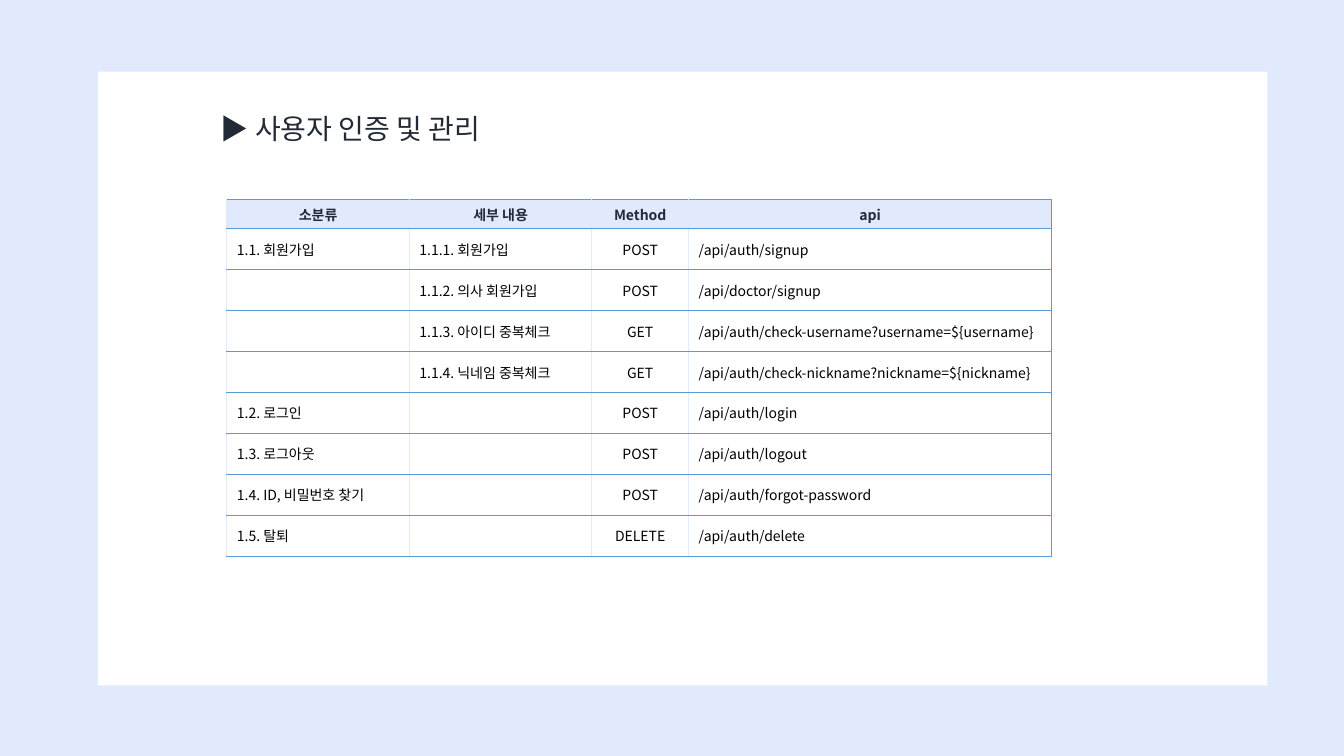
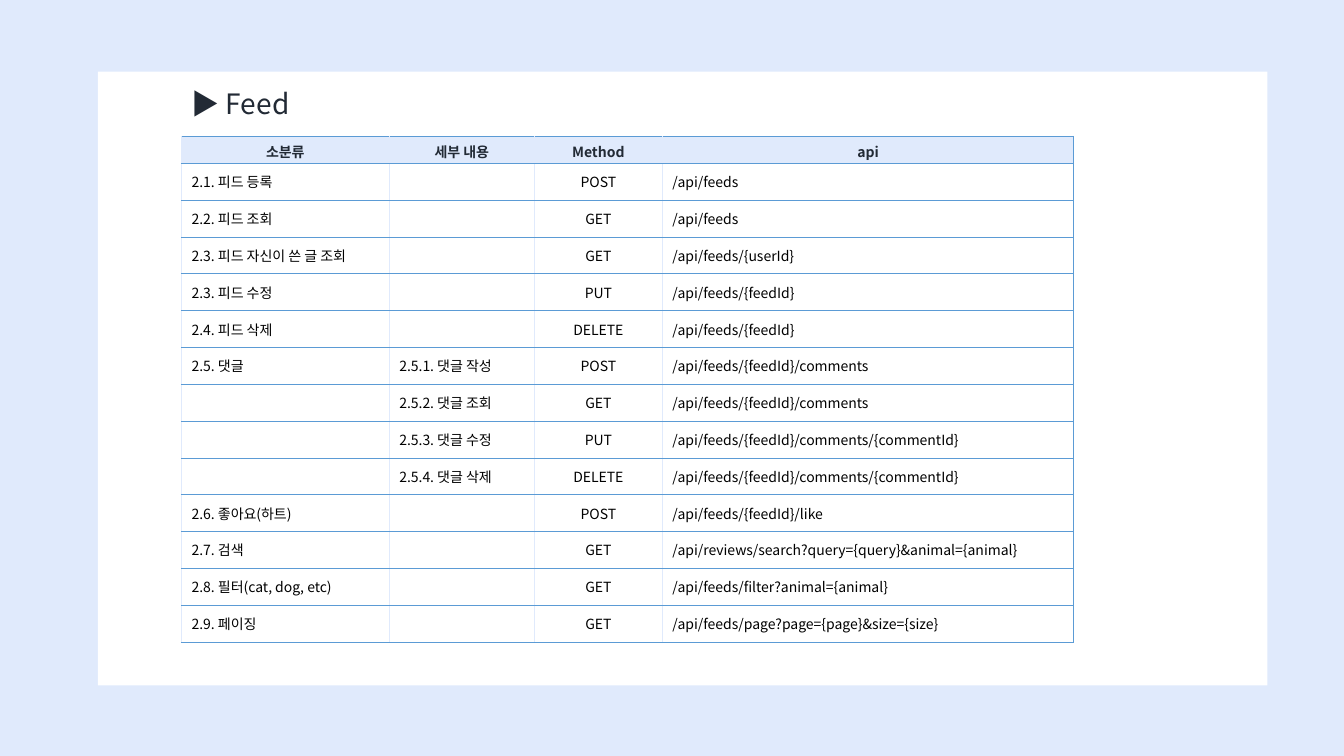
from lxml import etree
from pptx import Presentation
from pptx.dml.color import RGBColor
from pptx.enum import shapes, text
from pptx.oxml.ns import qn
from pptx.util import Inches, Pt

PALE_BLUE = RGBColor(0xE0, 0xEA, 0xFC)
LINE_BLUE = RGBColor(0x5B, 0x9B, 0xD5)
INK = RGBColor(0x22, 0x2A, 0x35)
BLACK = RGBColor(0, 0, 0)
WHITE = RGBColor(0xFF, 0xFF, 0xFF)

FONT = "Noto Sans CJK KR"
TITLE_FONT = {"size": Pt(20), "name": FONT, "bold": False}
HEADER_FONT = {"size": Pt(10), "name": FONT, "bold": True}
BODY_FONT = {"size": Pt(10), "name": FONT, "bold": False}

RULE = (LINE_BLUE, Pt(0.5))
DIVIDER = (PALE_BLUE, Pt(1))
TITLE_HEIGHT = 0.44
METHOD_COLUMN = 2
HEADERS = ("소분류", "세부 내용", "Method", "api")

PAGES = [
    {
        "title": "▶ 사용자 인증 및 관리",
        "title_at": (2.09, 1.06),
        "title_width": 3.12,
        "table_at": (2.25, 1.98),
        "table_height": 3.54,
        "header_height": 0.29,
        "columns": (1.81, 1.81, 0.96, 3.6),
        "rows": [
            ("1.1. 회원가입", "1.1.1. 회원가입", "POST", "/api/auth/signup"),
            ("", "1.1.2. 의사 회원가입", "POST", "/api/doctor/signup"),
            ("", "1.1.3. 아이디 중복체크", "GET",
             "/api/auth/check-username?username=${username}"),
            ("", "1.1.4. 닉네임 중복체크", "GET",
             "/api/auth/check-nickname?nickname=${nickname}"),
            ("1.2. 로그인", "", "POST", "/api/auth/login"),
            ("1.3. 로그아웃", "", "POST", "/api/auth/logout"),
            ("1.4. ID, 비밀번호 찾기", "", "POST", "/api/auth/forgot-password"),
            ("1.5. 탈퇴", "", "DELETE", "/api/auth/delete"),
        ],
    },
    {
        "title": "▶ Feed",
        "title_at": (1.8, 0.81),
        "title_width": 1.19,
        "table_at": (1.8, 1.35),
        "table_height": 5.02,
        "header_height": 0.27,
        "columns": (2.06, 1.44, 1.27, 4.08),
        "rows": [
            ("2.1. 피드 등록", "", "POST", "/api/feeds"),
            ("2.2. 피드 조회", "", "GET", "/api/feeds"),
            ("2.3. 피드 자신이 쓴 글 조회", "", "GET", "/api/feeds/{userId}"),
            ("2.3. 피드 수정", "", "PUT", "/api/feeds/{feedId}"),
            ("2.4. 피드 삭제", "", "DELETE", "/api/feeds/{feedId}"),
            ("2.5. 댓글", "2.5.1. 댓글 작성", "POST", "/api/feeds/{feedId}/comments"),
            ("", "2.5.2. 댓글 조회", "GET", "/api/feeds/{feedId}/comments"),
            ("", "2.5.3. 댓글 수정", "PUT",
             "/api/feeds/{feedId}/comments/{commentId}"),
            ("", "2.5.4. 댓글 삭제", "DELETE",
             "/api/feeds/{feedId}/comments/{commentId}"),
            ("2.6. 좋아요(하트)", "", "POST", "/api/feeds/{feedId}/like"),
            ("2.7. 검색", "", "GET",
             "/api/reviews/search?query={query}&animal={animal}"),
            ("2.8. 필터(cat, dog, etc)", "", "GET",
             "/api/feeds/filter?animal={animal}"),
            ("2.9. 페이징", "", "GET", "/api/feeds/page?page={page}&size={size}"),
        ],
    },
]


def set_all(target, formats):
    for name, value in formats.items():
        setattr(target, name, value)


def write(para, words, font, color, align):
    """Fill a paragraph; an empty one only gets its line height."""
    para.alignment = align
    if not words:
        end = etree.SubElement(para._p, qn("a:endParaRPr"))
        end.set("sz", str(int(font["size"].pt * 100)))
        return
    span = para.add_run()
    span.text = words
    set_all(span.font, font)
    span.font.color.rgb = color
    east_asian = etree.SubElement(span._r.get_or_add_rPr(), qn("a:ea"))
    east_asian.set("typeface", font["name"])


def add_panel(page):
    """Lay the white sheet behind the title."""
    panel = page.shapes.add_shape(
        shapes.MSO_SHAPE.RECTANGLE,
        Inches(0.97), Inches(0.71), Inches(11.6), Inches(6.09))
    panel.shadow.inherit = False
    panel.fill.solid()
    panel.fill.fore_color.rgb = WHITE
    panel.line.fill.background()
    page.shapes.title.element.addprevious(panel.element)


def set_title(page, words, at, width):
    title = page.shapes.title
    left, top = at
    set_all(title, {"left": Inches(left), "top": Inches(top),
                    "width": Inches(width), "height": Inches(TITLE_HEIGHT)})
    frame = title.text_frame
    set_all(frame, {"word_wrap": False,
                    "auto_size": text.MSO_AUTO_SIZE.SHAPE_TO_FIT_TEXT,
                    "vertical_anchor": text.MSO_ANCHOR.TOP})
    write(frame.paragraphs[0], words, TITLE_FONT, INK, text.PP_ALIGN.LEFT)


def set_borders(cell, **borders):
    """Draw cell edges, given in the order L, R, T, B."""
    properties = cell._tc.get_or_add_tcPr()
    for side, (color, width) in borders.items():
        line = etree.SubElement(properties, qn(f"a:ln{side}"), w=str(int(width)))
        fill = etree.SubElement(line, qn("a:solidFill"))
        etree.SubElement(fill, qn("a:srgbClr"), val=str(color))


def format_cell(cell, words, is_header, column):
    is_last = column == len(HEADERS) - 1
    set_borders(cell, L=DIVIDER, R=RULE if is_last else DIVIDER, T=RULE, B=RULE)
    cell.vertical_anchor = text.MSO_ANCHOR.MIDDLE
    if is_header:
        cell.fill.solid()
        cell.fill.fore_color.rgb = PALE_BLUE
    else:
        cell.fill.background()
    centred = is_header or column == METHOD_COLUMN
    write(cell.text_frame.paragraphs[0], words,
          HEADER_FONT if is_header else BODY_FONT,
          INK if is_header else BLACK,
          text.PP_ALIGN.CENTER if centred else text.PP_ALIGN.LEFT)


def add_api_table(page, at, height, header_height, columns, rows):
    left, top = at
    table = page.shapes.add_table(
        len(rows) + 1, len(columns), Inches(left), Inches(top),
        Inches(sum(columns)), Inches(height)).table
    set_all(table, {"first_row": False, "horz_banding": False})
    for column, width in zip(table.columns, columns):
        column.width = Inches(width)
    body_height = (height - header_height) / len(rows)
    for row_index, values in enumerate([HEADERS, *rows]):
        is_header = row_index == 0
        table.rows[row_index].height = Inches(
            header_height if is_header else body_height)
        for column_index, words in enumerate(values):
            format_cell(table.cell(row_index, column_index), words,
                        is_header, column_index)


def main():
    deck = Presentation()
    set_all(deck, {"slide_width": Inches(13.33), "slide_height": Inches(7.5)})
    backdrop = deck.slide_master.background.fill
    backdrop.solid()
    backdrop.fore_color.rgb = PALE_BLUE
    title_only = deck.slide_layouts.get_by_name("Title Only")
    for content in PAGES:
        page = deck.slides.add_slide(title_only)
        add_panel(page)
        set_title(page, content["title"], content["title_at"],
                  content["title_width"])
        add_api_table(page, content["table_at"], content["table_height"],
                      content["header_height"], content["columns"],
                      content["rows"])
    deck.save("out.pptx")


if __name__ == "__main__":
    main()
